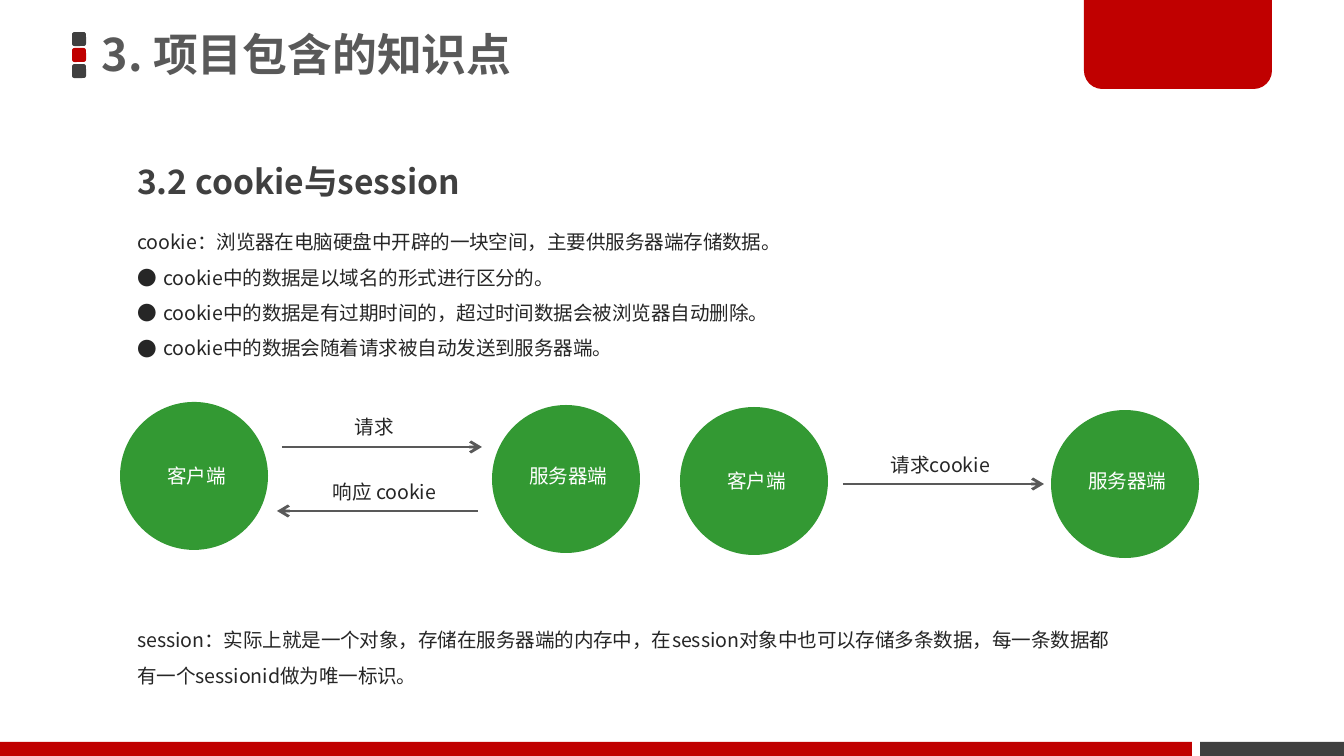
from dataclasses import dataclass

from lxml import etree
from pptx import Presentation
from pptx import util as u
from pptx.dml.color import RGBColor
from pptx.enum import shapes, text
from pptx.oxml.ns import qn

PX = 914400 / 134.4
FONT = "Noto Sans CJK SC"
RED, DARK, GREEN = "C00000", "404040", "339933"
GREY, INK, WHITE = "595959", "262626", "FFFFFF"
DIAMETER = 148
LABEL_HEIGHT = 38


@dataclass
class Box:
    """A rectangle in px."""
    left: int
    top: int
    width: int
    height: int

    def emu(self) -> list[int]:
        """Return the four lengths in EMU."""
        return [px(n) for n in (self.left, self.top, self.width, self.height)]


@dataclass
class Node:
    """A round participant with its name."""
    name: str
    left: int
    top: int
    label_top: int


@dataclass
class Message:
    """A horizontal arrow with its caption."""
    caption: str
    start: int
    end: int
    y: int
    caption_box: Box


def px(length: int) -> int:
    """Turn px into EMU."""
    return round(length * PX)


def colour(value: str) -> RGBColor:
    """Turn a hex string into a colour."""
    return RGBColor.from_string(value)


def add_block(slide, kind, box: Box, fill: str, *adjustments: float) -> None:
    """Draw a plain filled shape."""
    block = slide.shapes.add_shape(kind, *box.emu())
    block.shadow.inherit = False
    block.fill.solid()
    block.fill.fore_color.rgb = colour(fill)
    block.line.fill.background()
    for index, value in enumerate(adjustments):
        block.adjustments[index] = value


def add_text(slide, box: Box, words: str, size: float = 10.5, ink: str = INK,
             bold: bool = False, centred: bool = False, spacing: float = 1.0):
    """Write a text box and return its frame."""
    frame = slide.shapes.add_textbox(*box.emu()).text_frame
    frame.word_wrap = True
    frame.auto_size = text.MSO_AUTO_SIZE.SHAPE_TO_FIT_TEXT
    frame.text = words
    for paragraph in frame.paragraphs:
        paragraph.line_spacing = spacing
        paragraph.alignment = text.PP_ALIGN.CENTER if centred else text.PP_ALIGN.LEFT
        for run in paragraph.runs:
            run.font.size = u.Pt(size)
            run.font.bold = bold
            run.font.name = FONT
            run.font.color.rgb = colour(ink)
            etree.SubElement(run.font._element, qn("a:ea"), typeface=FONT)
    return frame


def add_bullet(paragraph) -> None:
    """Give a paragraph a hanging round bullet."""
    properties = paragraph._p.get_or_add_pPr()
    properties.set("marL", str(px(26)))
    properties.set("indent", str(-px(26)))
    etree.SubElement(properties, qn("a:buFont"), typeface=FONT)
    etree.SubElement(properties, qn("a:buChar"), char="●")


def add_node(slide, node: Node) -> None:
    """Draw a participant."""
    circle = Box(node.left, node.top, DIAMETER, DIAMETER)
    add_block(slide, shapes.MSO_SHAPE.OVAL, circle, GREEN)
    label = Box(node.left - 19, node.label_top, 191, LABEL_HEIGHT)
    add_text(slide, label, node.name, ink=WHITE, centred=True)


def add_message(slide, message: Message) -> None:
    """Draw an arrow and its caption."""
    arrow = slide.shapes.add_connector(
        shapes.MSO_CONNECTOR.STRAIGHT, px(message.start), px(message.y),
        px(message.end), px(message.y))
    arrow.line.color.rgb = colour(GREY)
    arrow.line.width = u.Pt(1.5)
    etree.SubElement(arrow.line._get_or_add_ln(), qn("a:tailEnd"), type="arrow")
    etree.SubElement(arrow._element.spPr, qn("a:effectLst"))
    add_text(slide, message.caption_box, message.caption, centred=True)


def add_frame(slide) -> None:
    """Draw the title marks, the corner tab and the footer bars."""
    kinds = shapes.MSO_SHAPE
    for row, fill in enumerate((DARK, RED, DARK)):
        add_block(slide, kinds.ROUNDED_RECTANGLE,
                  Box(72, 32 + 16 * row, 14, 14), fill, 0.17)
    add_block(slide, kinds.ROUND_2_SAME_RECTANGLE, Box(1084, -3, 188, 92), RED, 0, 0.2)
    add_block(slide, kinds.RECTANGLE, Box(0, 742, 1192, 14), RED)
    add_block(slide, kinds.RECTANGLE, Box(1200, 742, 144, 14), DARK)


def add_copy(slide) -> None:
    """Write the title, the heading and the two explanations."""
    title = add_text(slide, Box(93, -3, 792, 120), "3. 项目包含的知识点",
                     24, GREY, bold=True, spacing=0.9)
    title.auto_size = text.MSO_AUTO_SIZE.NONE
    title.vertical_anchor = text.MSO_ANCHOR.MIDDLE
    title.margin_left = title.margin_right = px(9)
    title.margin_top = title.margin_bottom = px(5)
    add_text(slide, Box(124, 134, 516, 67), "3.2 cookie与session",
             18, DARK, bold=True, spacing=1.5)
    cookie = add_text(slide, Box(124, 212, 1015, 156), "\n".join((
        "cookie：浏览器在电脑硬盘中开辟的一块空间，主要供服务器端存储数据。",
        "cookie中的数据是以域名的形式进行区分的。",
        "cookie中的数据是有过期时间的，超过时间数据会被浏览器自动删除。",
        "cookie中的数据会随着请求被自动发送到服务器端。",
    )), spacing=1.5)
    for paragraph in cookie.paragraphs[1:]:
        add_bullet(paragraph)
    add_text(slide, Box(124, 610, 1015, 85),
             "session：实际上就是一个对象，存储在服务器端的内存中，在session对象中也"
             "可以存储多条数据，每一条数据都有一个sessionid做为唯一标识。", spacing=1.5)


NODES = (
    Node("客户端", 120, 402, 457),
    Node("服务器端", 492, 405, 457),
    Node("客户端", 680, 407, 462),
    Node("服务器端", 1051, 410, 462),
)
MESSAGES = (
    Message("请求", 282, 482, 447, Box(327, 408, 95, LABEL_HEIGHT)),
    Message("响应 cookie", 478, 277, 511, Box(277, 473, 215, LABEL_HEIGHT)),
    Message("请求cookie", 843, 1044, 484, Box(829, 446, 223, LABEL_HEIGHT)),
)


def main() -> None:
    """Build and save the slide."""
    deck = Presentation()
    deck.slide_width, deck.slide_height = px(1344), px(756)
    slide = deck.slides.add_slide(deck.slide_layouts[6])
    add_frame(slide)
    add_copy(slide)
    for node in NODES:
        add_node(slide, node)
    for message in MESSAGES:
        add_message(slide, message)
    deck.save("out.pptx")


if __name__ == "__main__":
    main()
